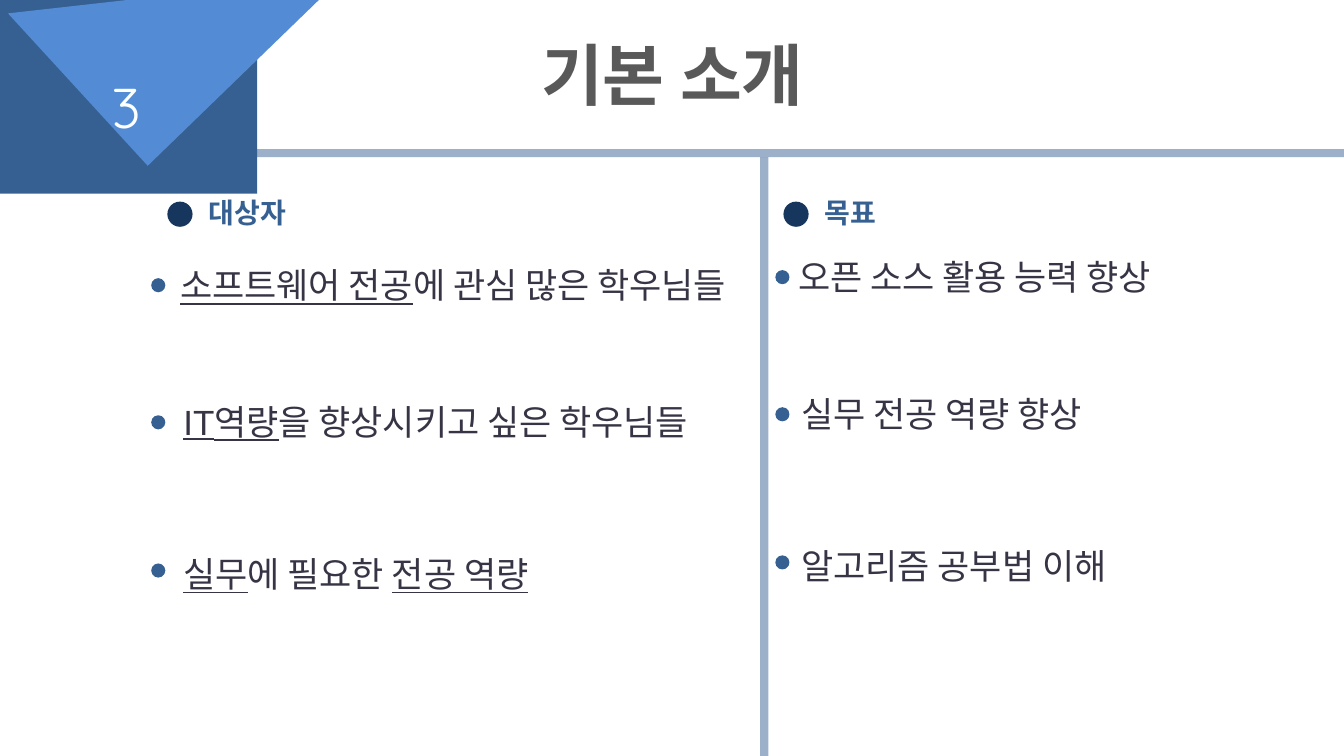
from lxml import etree
from pptx import Presentation
from pptx.dml.color import RGBColor
from pptx.enum.shapes import MSO_SHAPE as SHAPE
from pptx.enum.text import MSO_ANCHOR, MSO_AUTO_SIZE, PP_ALIGN
from pptx.oxml.ns import qn
from pptx.util import Inches, Pt

BLUE = RGBColor(0x36, 0x60, 0x92)
LIGHT_BLUE = RGBColor(0x53, 0x8C, 0xD5)
NAVY = RGBColor(0x17, 0x36, 0x5D)
GRAY = RGBColor(0x59, 0x59, 0x59)
INK = RGBColor(0x37, 0x35, 0x45)
WHITE = RGBColor(0xFE, 0xFF, 0xFF)

prs = Presentation()
prs.slide_width, prs.slide_height = Inches(13.33), Inches(7.5)
slide = prs.slides.add_slide(prs.slide_layouts[5])


def add_filled(kind, left, top, width, height, color):
    shape = slide.shapes.add_shape(
        kind, Inches(left), Inches(top), Inches(width), Inches(height))
    shape.shadow.inherit = False
    shape.fill.solid()
    shape.fill.fore_color.rgb = color
    shape.line.fill.background()
    return shape


def add_text(left, top, width, height, runs, size, color, font="Arial", bold=False):
    box = slide.shapes.add_textbox(
        Inches(left), Inches(top), Inches(width), Inches(height))
    box.text_frame.word_wrap = True
    paragraph = box.text_frame.paragraphs[0]
    for text, underlined in runs:
        run = paragraph.add_run()
        run.text = text
        if underlined:
            run.font.underline = True
    paragraph.font.name = font
    paragraph.font.size = Pt(size)
    paragraph.font.bold = bold
    paragraph.font.color.rgb = color
    return box


for left, top, width, height in ((1.36, 1.48, 11.97, 0.08), (7.54, 1.56, 0.08, 5.94)):
    divider = add_filled(SHAPE.RECTANGLE, left, top, width, height, BLUE)
    rgb = divider.fill._xPr.find(qn("a:solidFill"))[0]
    etree.SubElement(rgb, qn("a:alpha")).set("val", "49000")

add_filled(SHAPE.RECTANGLE, 0, 0, 2.55, 1.92, BLUE)
corner_fold = add_filled(SHAPE.ISOSCELES_TRIANGLE, 0.37, -1.06, 2.71, 2.05, LIGHT_BLUE)
corner_fold.adjustments[0] = 0.021
corner_fold.rotation = 315.9

title = slide.shapes.title
title.left, title.top = Inches(2.82), Inches(0.37)
title.width, title.height = Inches(7.7), Inches(0.84)
title.text_frame.text = "기본 소개"
title.text_frame.auto_size = MSO_AUTO_SIZE.NONE
title.text_frame.vertical_anchor = MSO_ANCHOR.TOP
heading = title.text_frame.paragraphs[0]
heading.alignment = PP_ALIGN.CENTER
heading.line_spacing = 0.9
heading.font.name = "Arial"
heading.font.size = Pt(48)
heading.font.bold = True
heading.font.color.rgb = GRAY

page_number = add_text(1.01, 0.85, 0.64, 0.4, [("3", False)], 40, WHITE, "Quicksand")
page_number.text_frame.vertical_anchor = MSO_ANCHOR.MIDDLE

audience = [
    [("소프트웨어 전공", True), ("에 관심 많은 학우님들", False)],
    [("IT역량", True), ("을 향상시키고 싶은 학우님들", False)],
    [("실무", True), ("에 필요한 ", False), ("전공 역량", True)],
]
goals = [
    [("오픈 소스 활용 능력 향상", False)],
    [("실무 전공 역량 향상", False)],
    [("알고리즘 공부법 이해", False)],
]
columns = [
    ("대상자", audience, 1.66, 1.5, 1.72, 5.8, 0),
    ("목표", goals, 7.77, 7.69, 7.85, 5.4, -0.08),
]
row_tops = [(2.57, 2.76, -0.03), (3.92, 4.12, 0), (5.43, 5.59, 0)]

for label, items, marker_left, dot_left, text_left, text_width, shift in columns:
    add_filled(SHAPE.OVAL, marker_left, 2, 0.25, 0.25, NAVY)
    header = add_text(marker_left + 0.31, 1.93, 3.46, 0.62, [(label, False)], 20, BLUE, bold=True)
    header.text_frame.paragraphs[0].line_spacing = 0.9
    for runs, (text_top, dot_top, nudge) in zip(items, row_tops):
        add_filled(SHAPE.OVAL, dot_left, dot_top + shift, 0.14, 0.14, BLUE)
        add_text(text_left + nudge, text_top + shift, text_width, 0.84, runs, 25, INK)

prs.save("out.pptx")
